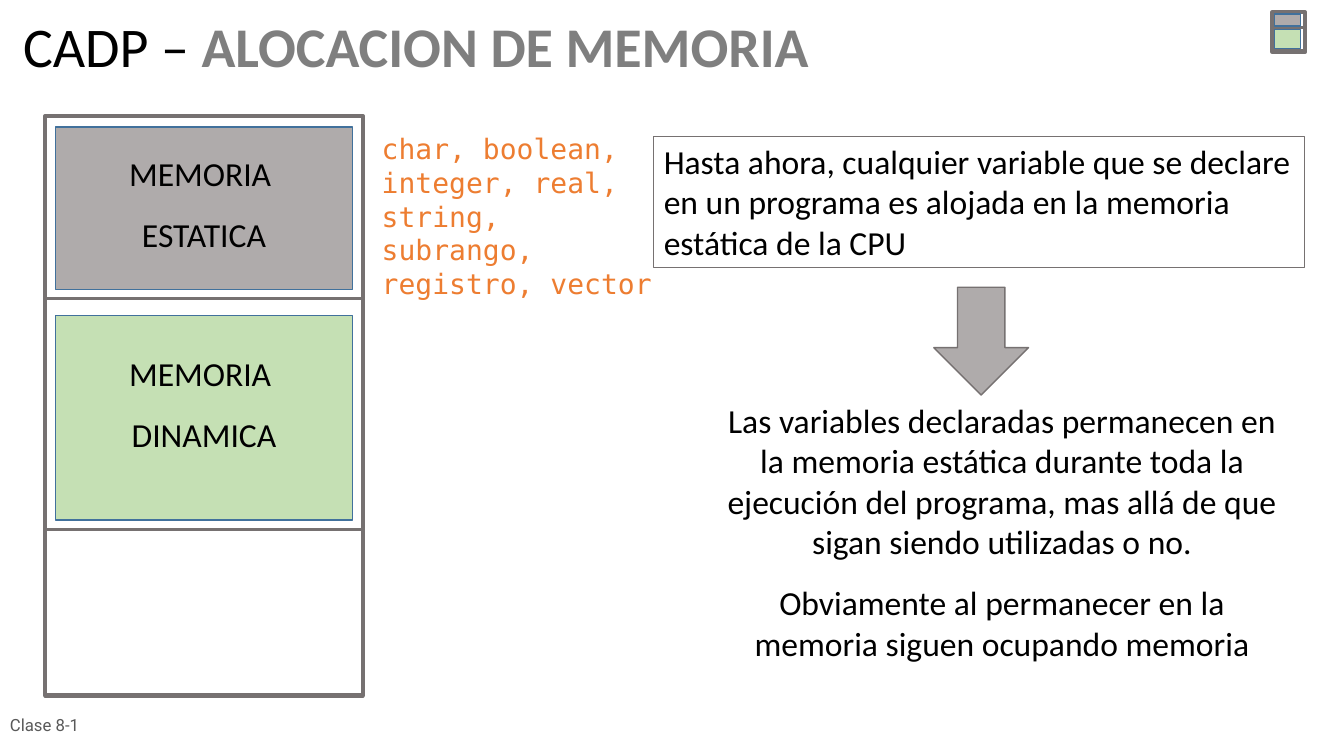
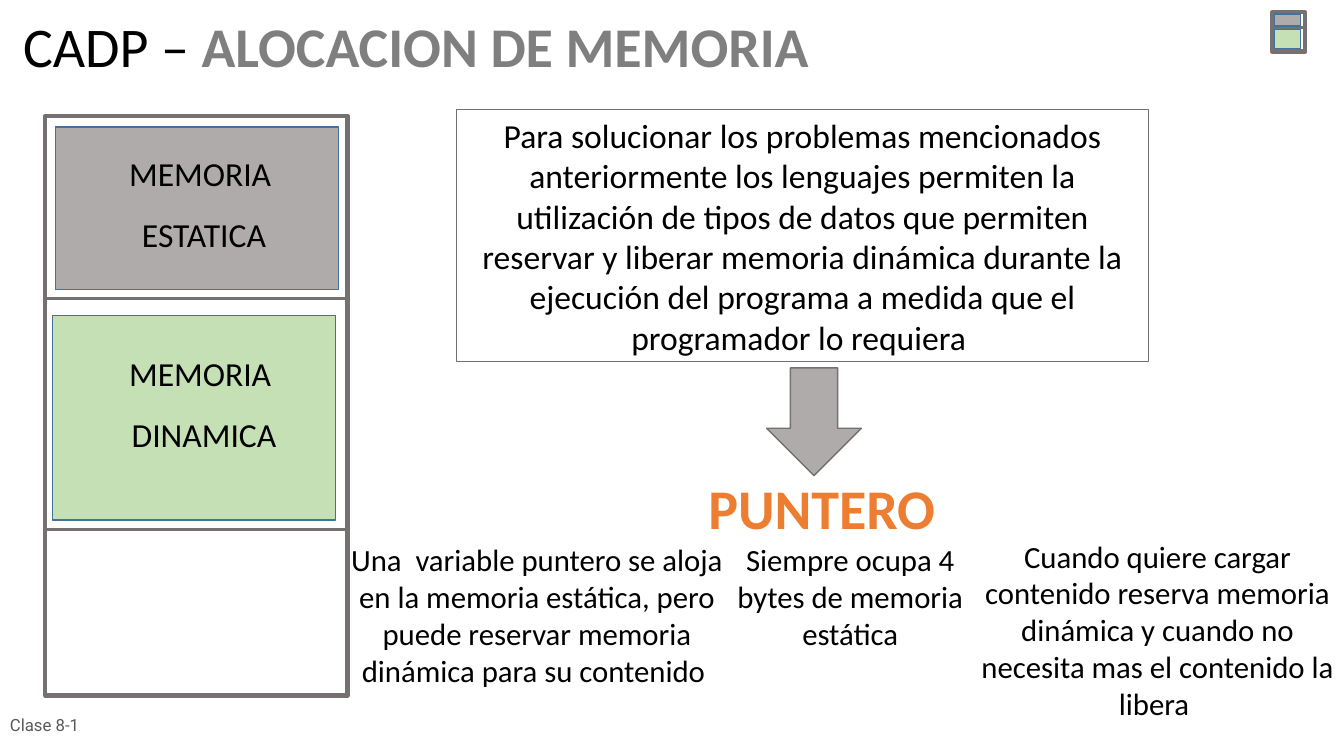
from pptx import Presentation
from pptx.dml.color import RGBColor
from pptx.enum.shapes import MSO_CONNECTOR, MSO_SHAPE
from pptx.enum.text import MSO_ANCHOR, PP_ALIGN
from pptx.oxml.ns import qn
from pptx.util import Pt
from lxml.etree import SubElement

BLACK = "000000"
TITLE_GRAY = "7F7F7F"
FOOTER_GRAY = "595959"
OUTLINE = "767171"
ZONE_OUTLINE = "41719C"
STATIC_GRAY = "AFABAB"
DYNAMIC_GREEN = "C5E0B4"
ORANGE = "ED7D31"

BODY_FONT = "Calibri"
CODE_FONT = "DejaVu Sans Mono"
FOOTER_FONT = "Roboto"


def color(hex_value):
    return RGBColor.from_string(hex_value)


def write(shape, paragraphs, size=24, font=BODY_FONT, align=PP_ALIGN.CENTER,
          gap=15, spacing=1.0, anchor=MSO_ANCHOR.TOP):
    """Each paragraph is a list of (text, hex color, bold) runs."""
    frame = shape.text_frame
    frame.word_wrap = True
    frame.vertical_anchor = anchor
    for index, runs in enumerate(paragraphs):
        paragraph = frame.paragraphs[0] if index == 0 else frame.add_paragraph()
        paragraph.alignment = align
        paragraph.space_before = Pt(gap)
        paragraph.line_spacing = spacing
        for text, hex_value, bold in runs:
            run = paragraph.add_run()
            run.text = text
            run.font.name = font
            run.font.size = Pt(size)
            run.font.bold = bold
            run.font.color.rgb = color(hex_value)


def plain(*lines, hex_value=BLACK, bold=False):
    return [[(line, hex_value, bold)] for line in lines]


def add_text(slide, box, paragraphs, **style):
    textbox = slide.shapes.add_textbox(*map(Pt, box))
    write(textbox, paragraphs, **style)


def add_block(slide, kind, box, fill, outline, weight):
    block = slide.shapes.add_shape(kind, *map(Pt, box))
    block.shadow.inherit = False
    if fill:
        block.fill.solid()
        block.fill.fore_color.rgb = color(fill)
    else:
        block.fill.background()
    block.line.color.rgb = color(outline)
    block.line.width = Pt(weight)
    return block


def add_statement(slide, box, text, align):
    statement = add_block(slide, MSO_SHAPE.RECTANGLE, box, None, OUTLINE, 0.74)
    write(statement, plain(text), align=align)


def add_down_arrow(slide, left, top):
    add_block(slide, MSO_SHAPE.DOWN_ARROW, (left, top, 67.7, 77),
              STATIC_GRAY, OUTLINE, 0.99)


def add_divider(slide, left, right, y):
    divider = slide.shapes.add_connector(
        MSO_CONNECTOR.STRAIGHT, Pt(left), Pt(y), Pt(right), Pt(y))
    divider.line.color.rgb = color(OUTLINE)
    divider.line.width = Pt(2.24)
    SubElement(divider._element.spPr, qn("a:effectLst"))


def add_memory_map(slide, frame, dividers, static_zone, dynamic_zone):
    add_block(slide, MSO_SHAPE.RECTANGLE, frame, None, OUTLINE, 3)
    left, _, width, _ = frame
    for y in dividers:
        add_divider(slide, left, left + width, y)
    for zone, fill in ((static_zone, STATIC_GRAY), (dynamic_zone, DYNAMIC_GREEN)):
        add_block(slide, MSO_SHAPE.RECTANGLE, zone, fill, ZONE_OUTLINE, 0.99)


def add_labelled_memory(slide, width, zone_width, dynamic_left):
    add_memory_map(slide, (32.4, 82.8, width, 414), (213.1, 378),
                   (39.6, 90.7, zone_width, 115.9),
                   (dynamic_left, 225.4, zone_width, 146.2))
    for top, name in ((105.8, "ESTATICA"), (248.4, "DINAMICA")):
        add_text(slide, (83.5, top, 124.6, 79.9), plain("MEMORIA ", name))


def add_common_parts(slide):
    add_text(slide, (9.4, 10.1, 629.3, 54.7),
             [[("CADP – ", BLACK, False),
               ("ALOCACION DE MEMORIA", TITLE_GRAY, True)]],
             size=40, align=PP_ALIGN.LEFT, gap=0, spacing=0.9)
    add_text(slide, (0, 503.3, 167.8, 28.8),
             plain("Clase 8-1", hex_value=FOOTER_GRAY), size=12,
             font=FOOTER_FONT, align=PP_ALIGN.LEFT, gap=0,
             anchor=MSO_ANCHOR.MIDDLE)
    add_memory_map(slide, (909.4, 8.6, 23, 28.8), (19.4, 36),
                   (910.8, 10.1, 18.7, 8.6), (910.8, 20.9, 18.7, 13.7))


def build_static_memory(slide):
    add_common_parts(slide)
    add_statement(slide, (467.3, 97.2, 465.1, 93.6),
                  "Hasta ahora, cualquier variable que se declare en un "
                  "programa es alojada en la memoria estática de la CPU",
                  PP_ALIGN.LEFT)
    add_labelled_memory(slide, 226.8, 212.4, 39.6)
    add_down_arrow(slide, 667.4, 205.2)
    add_text(slide, (511.2, 282.2, 409.7, 195.1), plain(
        "Las variables declaradas permanecen en la memoria estática durante "
        "toda la ejecución del programa, mas allá de que sigan siendo "
        "utilizadas o no.",
        "Obviamente al permanecer en la memoria siguen ocupando memoria"))
    add_text(slide, (265.7, 90.7, 214.6, 127.4),
             plain("char, boolean, ", "integer, real,", "string, subrango,",
                   "registro, vector", hex_value=ORANGE),
             size=20, font=CODE_FONT, align=PP_ALIGN.LEFT, gap=0)


def build_pointer(slide):
    add_common_parts(slide)
    add_labelled_memory(slide, 216, 202.3, 37.4)
    add_statement(slide, (326.2, 78.5, 494.6, 180),
                  "Para solucionar los problemas mencionados anteriormente los "
                  "lenguajes permiten la utilización de tipos de datos que "
                  "permiten reservar y liberar memoria dinámica durante la "
                  "ejecución del programa a medida que el programador lo "
                  "requiera ", PP_ALIGN.CENTER)
    add_down_arrow(slide, 547.9, 262.8)
    add_text(slide, (437.8, 334.8, 298.8, 55.4),
             plain("PUNTERO", hex_value=ORANGE, bold=True), size=40, gap=25)
    pointer_facts = (
        ((241.9, 383, 283.7, 113),
         "Una  variable puntero se aloja en la memoria estática, pero puede "
         "reservar memoria dinámica para su contenido "),
        ((508.3, 383, 198.7, 86.4),
         "Siempre ocupa 4 bytes de memoria estática"),
        ((685.4, 380.2, 283.7, 139.7),
         "Cuando quiere cargar contenido reserva memoria dinámica y cuando no "
         "necesita mas el contenido la libera "),
    )
    for box, fact in pointer_facts:
        add_text(slide, box, plain(fact), size=22, gap=13.8)


def main():
    deck = Presentation()
    deck.slide_width = Pt(960.48)
    deck.slide_height = Pt(540)
    blank = deck.slide_layouts[6]
    for build in (build_static_memory, build_pointer):
        build(deck.slides.add_slide(blank))
    deck.save("out.pptx")


main()
